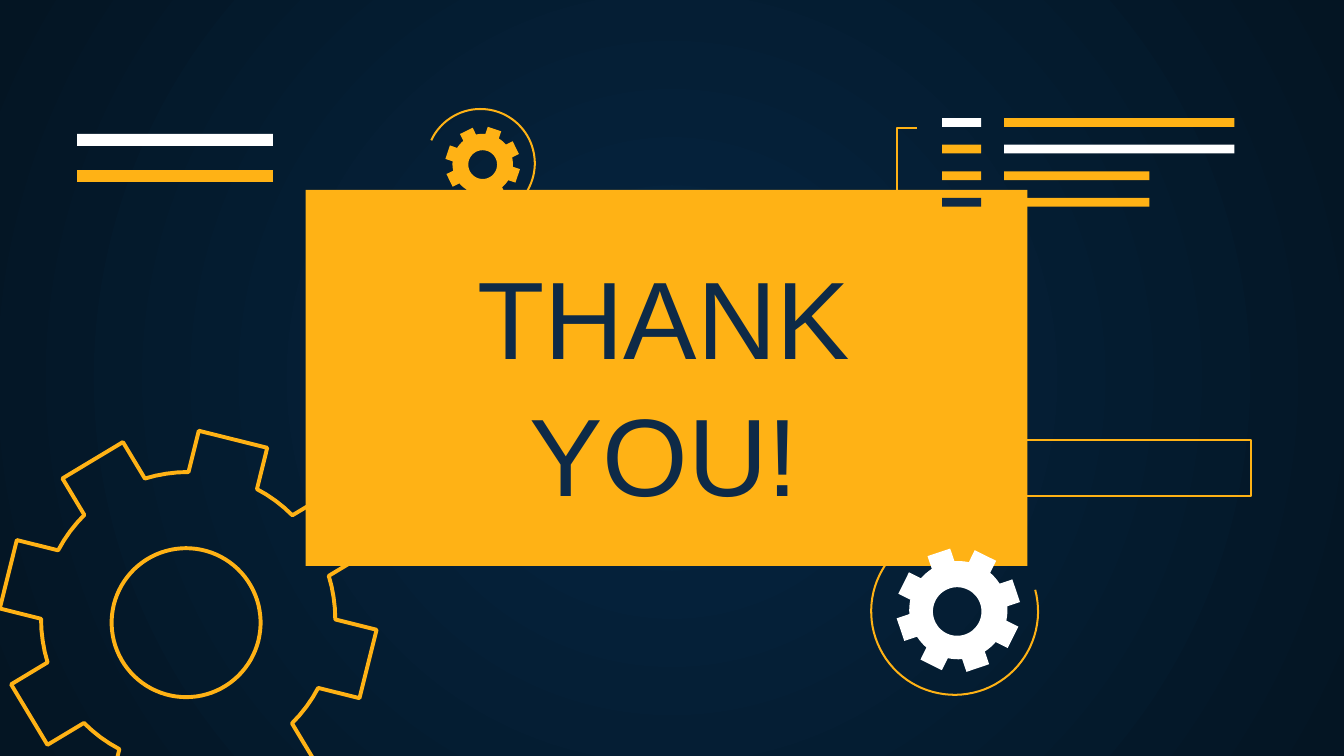
from dataclasses import dataclass
from math import asin, atan2, cos, degrees, hypot, radians, sin

from lxml.etree import SubElement
from pptx import Presentation
from pptx.dml.color import RGBColor
from pptx.enum.shapes import MSO_SHAPE
from pptx.enum.text import MSO_ANCHOR, PP_ALIGN
from pptx.oxml.ns import qn
from pptx.util import Pt

Point = tuple[float, float]


@dataclass(frozen=True)
class Theme:
    yellow: RGBColor = RGBColor.from_string("FFB215")
    white: RGBColor = RGBColor.from_string("FFFFFF")
    navy: RGBColor = RGBColor.from_string("0E2A47")
    glow: RGBColor = RGBColor.from_string("052643")
    night: RGBColor = RGBColor.from_string("041523")
    font: str = "Arial"
    title_size: float = 59
    thin: float = 1.09
    thick: float = 2.1


@dataclass(frozen=True)
class Bar:
    x: float
    y: float
    w: float
    h: float
    color: RGBColor


@dataclass(frozen=True)
class Gear:
    center: Point
    bore_center: Point
    tip: float
    root: float
    bore: float
    tooth: float
    turn: float
    color: RGBColor
    line: float = 0


@dataclass(frozen=True)
class Arc:
    center: Point
    radius: float
    start: float
    end: float


TH = Theme()
TEETH = 8


def polar(center: Point, radius: float, angle: float) -> Point:
    a = radians(angle)
    return center[0] + radius * sin(a), center[1] - radius * cos(a)


def arc_points(center: Point, radius: float, start: float, end: float) -> list[Point]:
    steps = max(4, round(abs(end - start) / 4))
    return [polar(center, radius, start + (end - start) * i / steps)
            for i in range(steps + 1)]


def gear_outline(gear: Gear) -> list[Point]:
    half = gear.tooth / 2
    corner = hypot(gear.tip, half)
    tip_angle = degrees(atan2(half, gear.tip))
    root_angle = degrees(asin(half / gear.root))
    pitch = 360 / TEETH
    points = []
    for i in range(TEETH):
        a = gear.turn + i * pitch
        points += [polar(gear.center, corner, a - tip_angle),
                   polar(gear.center, corner, a + tip_angle)]
        points += arc_points(gear.center, gear.root, a + root_angle, a + pitch - root_angle)
    return points


def paint(sp, fill: RGBColor | None, line: float = 0) -> None:
    sp.shadow.inherit = False
    if fill is None:
        sp.fill.background()
    else:
        sp.fill.solid()
        sp.fill.fore_color.rgb = fill
    if line:
        sp.line.color.rgb = TH.yellow
        sp.line.width = Pt(line)
    else:
        sp.line.fill.background()


def draw_path(s, contours: list[list[Point]], closed: bool,
              fill: RGBColor | None, line: float) -> None:
    emu = [[(Pt(x), Pt(y)) for x, y in points] for points in contours]
    builder = s.shapes.build_freeform(*emu[0][0], scale=1.0)
    builder.add_line_segments(emu[0][1:], close=closed)
    for points in emu[1:]:
        builder.move_to(*points[0])
        builder.add_line_segments(points[1:], close=closed)
    paint(builder.convert_to_shape(), fill, line)


def draw_gear(s, gear: Gear) -> None:
    hole = arc_points(gear.bore_center, gear.bore, 360, 0)[:-1]
    draw_path(s, [gear_outline(gear), hole], True,
              None if gear.line else gear.color, gear.line)


def draw_arc(s, arc: Arc) -> None:
    points = arc_points(arc.center, arc.radius, arc.start, arc.end)
    draw_path(s, [points], False, None, TH.thin)


def draw_rect(s, x: float, y: float, w: float, h: float,
              fill: RGBColor | None, line: float = 0) -> None:
    sp = s.shapes.add_shape(MSO_SHAPE.RECTANGLE, Pt(x), Pt(y), Pt(w), Pt(h))
    paint(sp, fill, line)


def draw_background(s) -> None:
    fill = s.background.fill
    fill.gradient()
    for stop, color, position in zip(fill.gradient_stops, (TH.glow, TH.night), (0, 1)):
        stop.color.rgb = color
        stop.position = position
    grad = next(s.element.iter(qn("a:gradFill")))
    grad.remove(grad.find(qn("a:lin")))
    path = SubElement(grad, qn("a:path"), {"path": "circle"})
    SubElement(path, qn("a:fillToRect"), {side: "50000" for side in "ltrb"})


def draw_title(s, text: str) -> None:
    sp = s.shapes.add_textbox(Pt(216.7), Pt(125.3), Pt(277.9), Pt(152.6))
    tf = sp.text_frame
    tf.word_wrap = True
    tf.vertical_anchor = MSO_ANCHOR.MIDDLE
    tf.margin_left = tf.margin_right = tf.margin_bottom = Pt(7.2)
    tf.margin_top = Pt(12.4)
    tf.text = text
    p = tf.paragraphs[0]
    p.alignment = PP_ALIGN.CENTER
    p.line_spacing = 1.04
    r = p.runs[0]
    r.font.name = TH.font
    r.font.size = Pt(TH.title_size)
    r.font.color.rgb = TH.navy


def list_bars() -> list[Bar]:
    rows = [(TH.white, TH.yellow, 123.4), (TH.yellow, TH.white, 123.4),
            (TH.yellow, TH.yellow, 77.8), (TH.navy, TH.yellow, 77.8)]
    bars = []
    for i, (marker, color, width) in enumerate(rows):
        y = 63.3 + i * 14.25
        bars += [Bar(504.7, y, 20.9, 4.7, marker), Bar(537.9, y, width, 4.7, color)]
    return bars


def main() -> None:
    prs = Presentation()
    prs.slide_width, prs.slide_height = Pt(720), Pt(405)
    s = prs.slides.add_slide(prs.slide_layouts[6])
    draw_background(s)
    draw_rect(s, 163.8, 101.8, 386.6, 201.5, TH.yellow)

    for arc in (Arc((257.4, 87.5), 29.1, -65, 192), Arc((511.4, 327.6), 44.7, 75, 323.5)):
        draw_arc(s, arc)
    for gear in (
        Gear((100.8, 331.7), (99.7, 333.6), 99.3, 78.8, 39.9, 37.8, 14, TH.yellow, TH.thick),
        Gear((513.4, 326.9), (512.8, 327.6), 32.7, 26.3, 13, 12.8, -18.6, TH.white),
        Gear((258.6, 87.9), (258.6, 88.2), 19.8, 16.2, 7.7, 7.6, 18.7, TH.yellow),
    ):
        draw_gear(s, gear)

    stripes = [Bar(41.3, 71.8, 105, 6.4, TH.white), Bar(41.3, 91.1, 105, 6.4, TH.yellow)]
    for bar in list_bars() + stripes:
        draw_rect(s, bar.x, bar.y, bar.w, bar.h, bar.color)

    bracket = [(491.5, 112), (480.5, 112), (480.5, 68.5), (491.2, 68.5)]
    draw_path(s, [bracket], False, None, TH.thin)
    draw_rect(s, 518.4, 235.8, 151.8, 30, None, TH.thin)
    draw_title(s, "THANK YOU!")
    prs.save("out.pptx")


if __name__ == "__main__":
    main()
